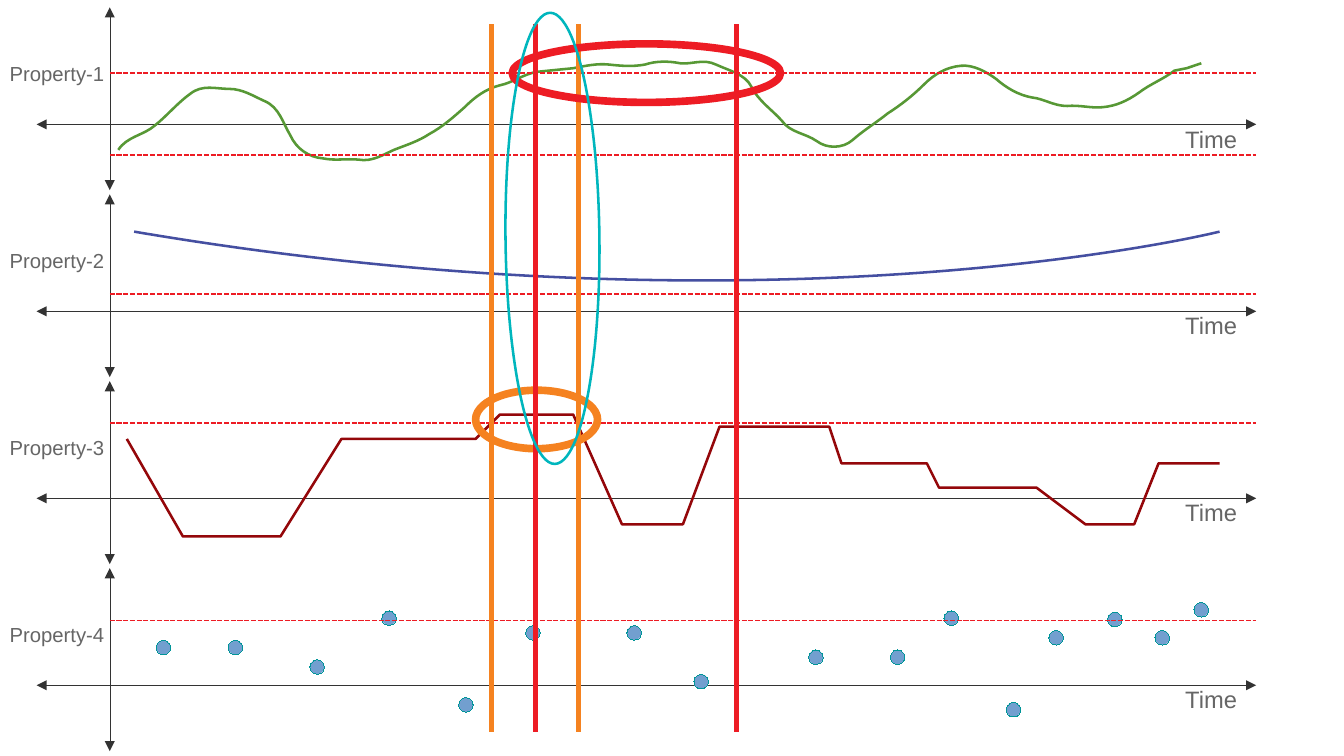
from dataclasses import dataclass

from lxml import etree
from pptx import Presentation
from pptx.dml.color import RGBColor
from pptx.enum.dml import MSO_LINE
from pptx.enum.shapes import MSO_CONNECTOR, MSO_SHAPE
from pptx.enum.text import MSO_AUTO_SIZE
from pptx.oxml.ns import qn
from pptx.util import Inches, Pt

STRAIGHT = MSO_CONNECTOR.STRAIGHT
OVAL = MSO_SHAPE.OVAL
DASHED = MSO_LINE.SQUARE_DOT
GROW = MSO_AUTO_SIZE.SHAPE_TO_FIT_TEXT


@dataclass(frozen=True)
class Theme:
    font: str = "Arial"
    label_size: int = 12
    time_size: int = 14
    text: str = "666666"
    axis: str = "333333"
    green: str = "579835"
    blue: str = "454FA1"
    maroon: str = "94070A"
    event_fill: str = "729FCF"
    event_line: str = "009598"
    red: str = "ED1C24"
    orange: str = "F58220"
    teal: str = "00B6BD"
    hairline: float = 0
    limit: float = 1
    curve: float = 1.5
    marker: float = 3
    ring: float = 4.5


THEME = Theme()

PROPERTIES = ("Property-1", "Property-2", "Property-3", "Property-4")
BAND_PITCH = 4.6 / 3
AXIS_X = 0.9
TIME_START, TIME_END = 0.3, 10.3
MARKER_TOP, MARKER_BOTTOM = 0.2, 6
EVENT_SIZE = 0.12

PROPERTY_1 = (
    (0.97, 1.23),
    (1.04, 1.12, 1.18, 1.11, 1.27, 1.03), (1.37, 0.95, 1.45, 0.85, 1.56, 0.77),
    (1.66, 0.69, 1.77, 0.73, 1.88, 0.73), (1.99, 0.73, 2.08, 0.79, 2.17, 0.83),
    (2.29, 0.88, 2.32, 1.01, 2.38, 1.11), (2.43, 1.22, 2.53, 1.29, 2.65, 1.3),
    (2.75, 1.32, 2.84, 1.3, 2.94, 1.31), (3.05, 1.33, 3.14, 1.27, 3.23, 1.23),
    (3.33, 1.19, 3.43, 1.16, 3.52, 1.1), (3.63, 1.04, 3.72, 0.96, 3.81, 0.88),
    (3.89, 0.8, 3.98, 0.73, 4.1, 0.7), (4.2, 0.68, 4.29, 0.61, 4.4, 0.59),
    (4.5, 0.58, 4.6, 0.57, 4.7, 0.56), (4.8, 0.54, 4.9, 0.52, 4.99, 0.53),
    (5.09, 0.54, 5.18, 0.55, 5.29, 0.53), (5.38, 0.5, 5.48, 0.5, 5.58, 0.52),
    (5.67, 0.53, 5.77, 0.48, 5.87, 0.53), (5.98, 0.58, 6.11, 0.61, 6.16, 0.71),
    (6.22, 0.83, 6.33, 0.9, 6.41, 0.99), (6.48, 1.09, 6.6, 1.09, 6.7, 1.16),
    (6.78, 1.22, 6.91, 1.22, 6.99, 1.15), (7.08, 1.07, 7.18, 1.01, 7.28, 0.93),
    (7.39, 0.86, 7.49, 0.78, 7.58, 0.69), (7.66, 0.61, 7.76, 0.55, 7.88, 0.54),
    (7.98, 0.53, 8.09, 0.59, 8.17, 0.65), (8.25, 0.72, 8.35, 0.78, 8.46, 0.8),
    (8.56, 0.81, 8.64, 0.87, 8.75, 0.87), (8.85, 0.86, 8.95, 0.89, 9.04, 0.88),
    (9.15, 0.87, 9.24, 0.83, 9.34, 0.76), (9.43, 0.69, 9.54, 0.65, 9.63, 0.58),
    (9.73, 0.56), (9.82, 0.53), (9.85, 0.52),
)
PROPERTY_2 = ((1.1, 1.9), (6.4, 2.8, 10, 1.9, 10, 1.9))
PROPERTY_3 = (
    (1.04, 3.6), (1.5, 4.4), (2.3, 4.4), (2.8, 3.6), (3.9, 3.6), (4.1, 3.4),
    (4.7, 3.4), (5.1, 4.3), (5.6, 4.3), (5.9, 3.5), (6.8, 3.5), (6.9, 3.8),
    (7.6, 3.8), (7.7, 4), (8.5, 4), (8.9, 4.3), (9.3, 4.3), (9.5, 3.8), (10, 3.8),
)
PROPERTY_4 = (
    (1.28, 5.25), (1.87, 5.25), (2.54, 5.41), (3.13, 5.01), (3.76, 5.72), (4.31, 5.13),
    (5.14, 5.13), (5.69, 5.53), (6.63, 5.33), (7.3, 5.33), (7.74, 5.01), (8.25, 5.76),
    (8.6, 5.17), (9.08, 5.02), (9.47, 5.17), (9.79, 4.94),
)
LIMITS = (0.6, 1.27, 2.41, 3.47, 5.09)


def set_line(shape, color, width):
    shape.line.color.rgb = RGBColor.from_string(color)
    shape.line.width = Pt(width)
    shape._element.spPr.find(qn("a:ln")).set("w", str(Pt(width)))


def add_text(slide, text, left, top, width, height, *, size, color=THEME.text):
    box = slide.shapes.add_textbox(Inches(left), Inches(top), Inches(width), Inches(height))
    frame = box.text_frame
    frame.word_wrap = True
    frame.auto_size = GROW
    run = frame.paragraphs[0].add_run()
    run.text = text
    run.font.name = THEME.font
    run.font.size = Pt(size)
    run.font.color.rgb = RGBColor.from_string(color)


def add_line(slide, start, end, color, width, *, dash=None, arrows=False):
    connector = slide.shapes.add_connector(STRAIGHT, *map(Inches, (*start, *end)))
    set_line(connector, color, width)
    if dash is not None:
        connector.line.dash_style = dash
    properties = connector._element.spPr
    if arrows:
        outline = properties.find(qn("a:ln"))
        for arrowhead in ("a:headEnd", "a:tailEnd"):
            etree.SubElement(outline, qn(arrowhead), type="triangle")
    etree.SubElement(properties, qn("a:effectLst"))


def add_ellipse(slide, left, top, width, height, color, weight, *, fill=None, rotation=0):
    ellipse = slide.shapes.add_shape(OVAL, *map(Inches, (left, top, width, height)))
    ellipse.shadow.inherit = False
    ellipse.rotation = rotation
    if fill is None:
        ellipse.fill.background()
    else:
        ellipse.fill.solid()
        ellipse.fill.fore_color.rgb = RGBColor.from_string(fill)
    set_line(ellipse, color, weight)


def pairs(values):
    return list(zip(values[::2], values[1::2]))


def sample_points(segments, steps=40):
    points = [segments[0]]
    for segment in segments[1:]:
        if len(segment) == 2:
            points.append(segment)
            continue
        controls = [points[-1], *pairs(segment)]
        for step in range(1, steps + 1):
            t = step / steps
            u = 1 - t
            weights = (u ** 3, 3 * u * u * t, 3 * u * t * t, t ** 3)
            points.append(tuple(
                sum(w * value for w, value in zip(weights, axis)) for axis in zip(*controls)
            ))
    return points


def add_curve(slide, segments, color):
    extent = [(Inches(x), Inches(y)) for x, y in sample_points(segments)]
    builder = slide.shapes.build_freeform(*extent[0])
    builder.add_line_segments(extent[1:], close=False)
    curve = builder.convert_to_shape()
    outline = next(curve._element.iter(qn("a:pathLst")))[0]
    for step in list(outline)[1:]:
        outline.remove(step)
    for segment in segments[1:]:
        command = "a:lnTo" if len(segment) == 2 else "a:cubicBezTo"
        step = etree.SubElement(outline, qn(command))
        for x, y in pairs(segment):
            etree.SubElement(step, qn("a:pt"), x=str(Inches(x) - curve.left),
                             y=str(Inches(y) - curve.top))
    curve.shadow.inherit = False
    curve.fill.background()
    set_line(curve, color, THEME.curve)


def add_band(slide, name, offset):
    add_text(slide, "Time", 9.62, offset + 0.97, 0.7, 0.32, size=THEME.time_size)
    add_text(slide, name, -0.02, offset + 0.45, 1.06, 0.3, size=THEME.label_size)
    axes = (
        ((AXIS_X, offset + 0.06), (AXIS_X, offset + 1.56)),
        ((TIME_START, offset + 1.02), (TIME_END, offset + 1.02)),
    )
    for start, end in axes:
        add_line(slide, start, end, THEME.axis, THEME.hairline, arrows=True)


def add_marker(slide, x, color):
    add_line(slide, (x, MARKER_TOP), (x, MARKER_BOTTOM), color, THEME.marker)


def main():
    deck = Presentation()
    deck.slide_width, deck.slide_height = Inches(11.02), Inches(6.2)
    slide = deck.slides.add_slide(deck.slide_layouts[6])

    for index, name in enumerate(PROPERTIES):
        add_band(slide, name, index * BAND_PITCH)

    add_curve(slide, PROPERTY_1, THEME.green)
    add_curve(slide, PROPERTY_2, THEME.blue)
    add_curve(slide, PROPERTY_3, THEME.maroon)
    for left, top in PROPERTY_4:
        add_ellipse(slide, left, top, EVENT_SIZE, EVENT_SIZE, THEME.event_line,
                    THEME.hairline, fill=THEME.event_fill)

    for y in LIMITS:
        add_line(slide, (AXIS_X, y), (TIME_END, y), THEME.red, THEME.limit, dash=DASHED)

    add_marker(slide, 4.03, THEME.orange)
    add_ellipse(slide, 3.9, 3.2, 1, 0.48, THEME.orange, THEME.ring)
    add_marker(slide, 4.74, THEME.orange)
    for x in (4.39, 6.04):
        add_marker(slide, x, THEME.red)
    add_ellipse(slide, 4.2, 0.36, 2.2, 0.48, THEME.red, THEME.ring)
    add_ellipse(slide, 2.68, 1.57, 3.7, 0.77, THEME.teal, THEME.curve, rotation=89.4)

    deck.save("out.pptx")


if __name__ == "__main__":
    main()
